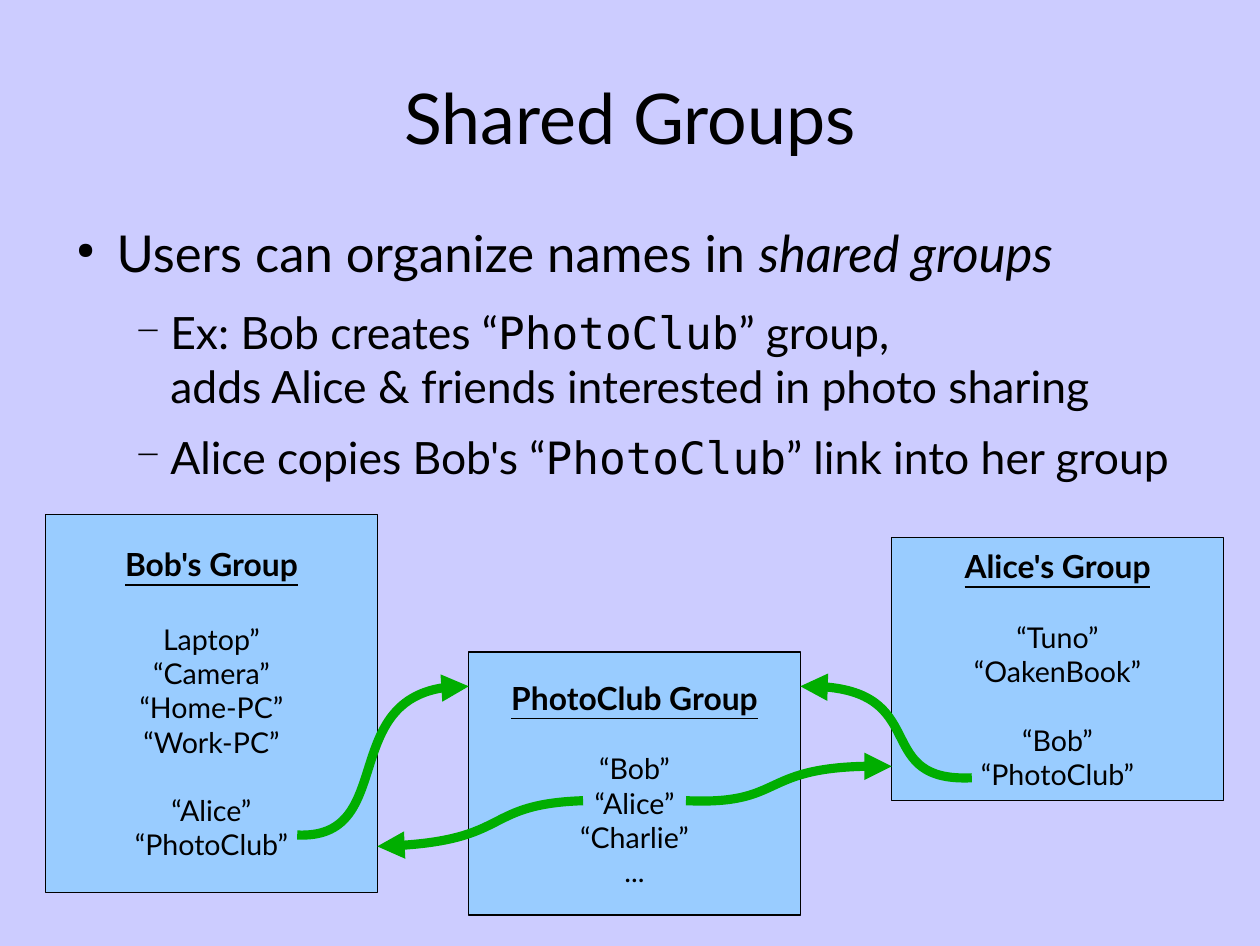
from pptx import Presentation
from pptx.dml.color import RGBColor
from pptx.enum import shapes, text
from pptx.oxml.ns import qn
from pptx.util import Pt
from lxml import etree

LAVENDER = RGBColor(0xCC, 0xCC, 0xFF)
SKY = RGBColor(0x99, 0xCC, 0xFF)
GREEN = RGBColor(0x00, 0xAE, 0x00)
BLACK = RGBColor(0, 0, 0)
SANS, MONO = "Lato", "DejaVu Sans Mono"

# Content
TITLE = "Shared Groups"
CLUB = ("PhotoClub", {"font": MONO})
# (level, runs)
BULLETS = [
    (0, ["Users can organize names in ", ("shared groups", {"italic": True})]),
    (1, ["Ex: Bob creates “", CLUB,
         "” group,\nadds Alice & friends interested in photo sharing"]),
    (1, ["Alice copies Bob's “", CLUB, "” link into her group"]),
]
# level: size, left margin, hanging indent, space after, bullet, bullet percent
LEVELS = [(32, 33.84, 25.2, 14.2, "●", 45), (28, 67.68, 22.32, 11.3, "−", 75)]

HEAD_SIZE, NAME_SIZE, LINE = 20, 18, 21.6
BOX_WIDTH = 208.8
# heading, left, top, height, gap under heading, blocks of names
GROUPS = [
    ("Bob's Group", 28.8, 324, 237.6, 24,
     [["Laptop”", "“Camera”", "“Home-PC”", "“Work-PC”"],
      ["“Alice”", "“PhotoClub”"]]),
    ("Alice's Group", 561.6, 338.4, 165.6, LINE,
     [["“Tuno”", "“OakenBook”"], ["“Bob”", "“PhotoClub”"]]),
    ("PhotoClub Group", 295.2, 410.4, 165.6, LINE,
     [["“Bob”", "“Alice”", "“Charlie”", "..."]]),
]
# start, two control points, end of each link
LINKS = [
    [(187.2, 525.6), (249.12, 528.48), (208.8, 429.84), (295.2, 432)],
    [(612, 489.6), (550.08, 492.48), (590.4, 429.84), (504, 432)],
    [(432, 504), (493.92, 506.88), (475.2, 480.24), (561.6, 482.4)],
    [(367.2, 504), (305.28, 506.16), (324, 530.64), (237.6, 532.8)],
]


def add_text(p, content, size=18, font=SANS, bold=False, italic=False,
             underline=False, align=text.PP_ALIGN.LEFT, before=0, after=0):
    p.alignment = align
    p.space_before, p.space_after = Pt(before), Pt(after)
    for i, line in enumerate(content.split("\n")):
        if i:
            p.add_line_break()
        r = p.add_run()
        r.text = line
        r.font.name, r.font.size = font, Pt(size)
        r.font.bold, r.font.italic, r.font.underline = bold, italic, underline
        r.font.color.rgb = BLACK


def add_bullet(p, margin, hang, char, percent):
    pPr = p._p.get_or_add_pPr()
    pPr.set("marL", str(Pt(margin)))
    pPr.set("indent", str(-Pt(hang)))
    color = etree.SubElement(pPr, qn("a:buClr"))
    etree.SubElement(color, qn("a:srgbClr"), val=str(BLACK))
    etree.SubElement(pPr, qn("a:buSzPct"), val=str(percent * 1000))
    etree.SubElement(pPr, qn("a:buChar"), char=char)


def text_frame(s, left, top, width, height):
    tf = s.shapes.add_textbox(Pt(left), Pt(top), Pt(width), Pt(height)).text_frame
    tf.word_wrap = True
    tf.margin_left = tf.margin_right = tf.margin_top = tf.margin_bottom = 0
    return tf


def next_paragraph(tf, first):
    return tf.paragraphs[0] if first else tf.add_paragraph()


def add_group(s, heading, left, top, height, gap, blocks):
    sp = s.shapes.add_shape(shapes.MSO_SHAPE.RECTANGLE,
                            Pt(left), Pt(top), Pt(BOX_WIDTH), Pt(height))
    sp.shadow.inherit = False
    sp.fill.solid()
    sp.fill.fore_color.rgb = SKY
    sp.line.color.rgb = BLACK
    sp.line.width = Pt(0)
    tf = sp.text_frame
    tf.word_wrap = True
    tf.vertical_anchor = text.MSO_ANCHOR.MIDDLE
    center = text.PP_ALIGN.CENTER
    add_text(tf.paragraphs[0], heading, size=HEAD_SIZE, bold=True,
             underline=True, align=center)
    for block in blocks:
        for i, name in enumerate(block):
            add_text(tf.add_paragraph(), name, size=NAME_SIZE, align=center,
                     before=0 if i else gap)
        gap = LINE


def add_link(s, points):
    start, *rest = [(Pt(x), Pt(y)) for x, y in points]
    builder = s.shapes.build_freeform(*start)
    builder.add_line_segments(rest, close=False)
    sp = builder.convert_to_shape()
    sp.shadow.inherit = False
    sp.fill.background()
    sp.line.color.rgb = GREEN
    sp.line.width = Pt(5.75)
    # Bend the three segments into one curve
    outline = sp._element.find(".//" + qn("a:path"))
    curve = etree.SubElement(outline, qn("a:cubicBezTo"))
    for segment in outline.findall(qn("a:lnTo")):
        curve.append(segment[0])
        outline.remove(segment)
    etree.SubElement(sp.line._get_or_add_ln(), qn("a:tailEnd"), type="triangle")


def main():
    prs = Presentation()
    prs.slide_width, prs.slide_height = Pt(793.44), Pt(595.44)
    s = prs.slides.add_slide(prs.slide_layouts[6])
    s.background.fill.solid()
    s.background.fill.fore_color.rgb = LAVENDER

    # Title
    tf = text_frame(s, 39.6, 27.36, 714.24, 92.16)
    tf.vertical_anchor = text.MSO_ANCHOR.MIDDLE
    add_text(tf.paragraphs[0], TITLE, size=44, align=text.PP_ALIGN.CENTER)

    # Bullets
    tf = text_frame(s, 39.6, 139.68, 714.24, 180)
    for i, (level, runs) in enumerate(BULLETS):
        size, margin, hang, after, char, percent = LEVELS[level]
        p = next_paragraph(tf, i == 0)
        p.level = level
        add_bullet(p, margin, hang, char, percent)
        for run in runs:
            content, style = (run, {}) if isinstance(run, str) else run
            add_text(p, content, size=size, after=after, **style)

    # Groups and the links between them
    for group in GROUPS:
        add_group(s, *group)
    for points in LINKS:
        add_link(s, points)

    prs.save("out.pptx")


if __name__ == "__main__":
    main()
